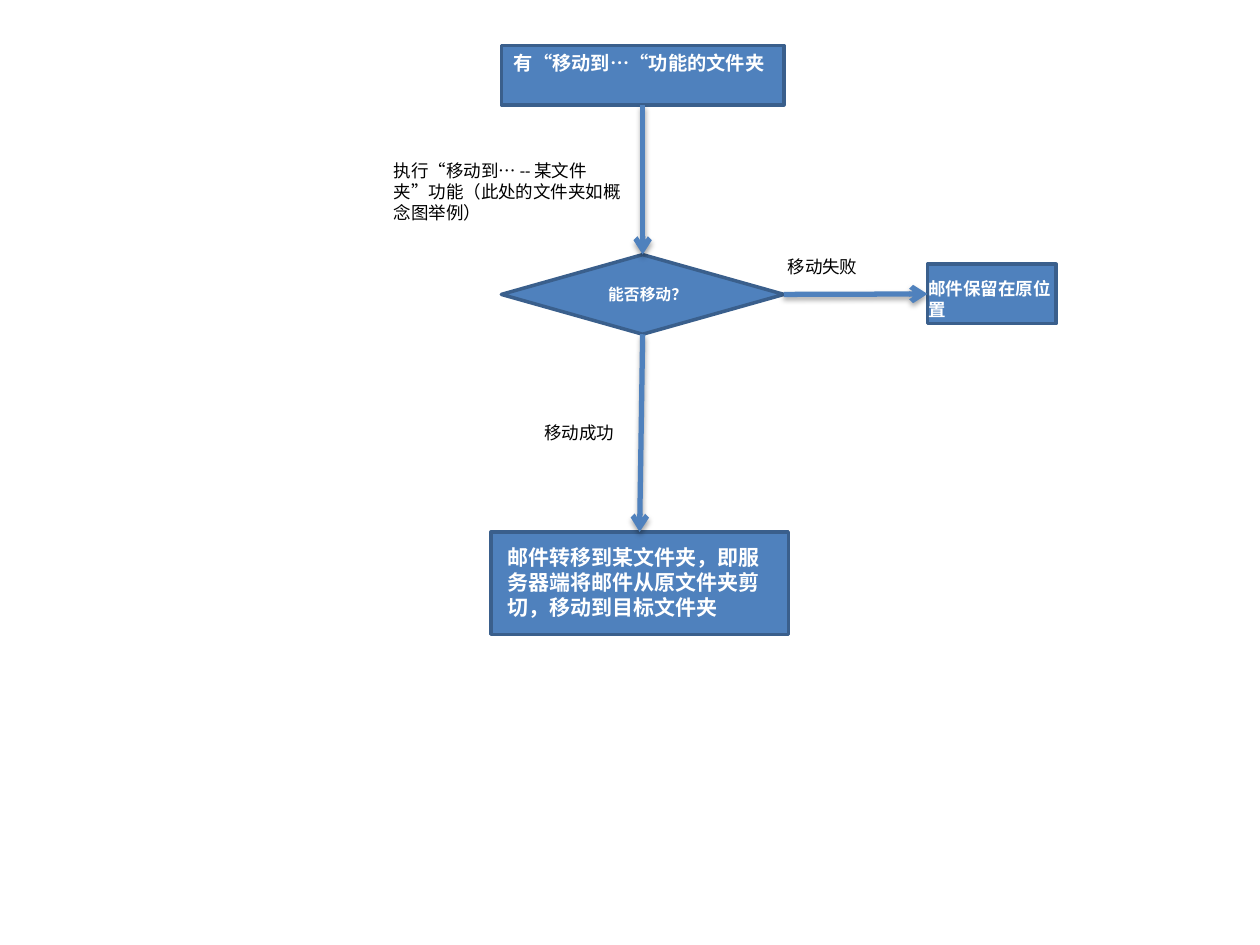
"""Build a flowchart of moving a mail to another folder."""
from lxml.etree import SubElement
from pptx import Presentation
from pptx.dml.color import RGBColor
from pptx.enum.shapes import MSO_CONNECTOR, MSO_SHAPE
from pptx.enum.text import MSO_AUTO_SIZE
from pptx.oxml.ns import qn
from pptx.util import Pt

FILL, OUTLINE, WHITE, BLACK = "4F81BD", "3A5F8C", "FFFFFF", "000000"
TOP, LEFT, BOTTOM, RIGHT = range(4)

NODES = {
    "start": (MSO_SHAPE.RECTANGLE, 286.5, 26, 161.5, 34),
    "decision": (MSO_SHAPE.DIAMOND, 286.5, 145.5, 161.5, 45.5),
    "failure": (MSO_SHAPE.RECTANGLE, 530, 151, 73.5, 34),
    "success": (MSO_SHAPE.RECTANGLE, 280.5, 304, 170, 58.5),
}
ARROWS = [
    ("start", BOTTOM, "decision", TOP),
    ("decision", BOTTOM, "success", TOP),
    ("decision", RIGHT, "failure", LEFT),
]
NODE_TEXTS = [
    ("有“移动到…“功能的文件夹", 11, 286.5, 26, 161.5, 21),
    ("能否移动？", 9, 340.5, 159, 102, 18),
    ("邮件转移到某文件夹，即服务器端将邮件从原文件夹剪切，移动到目标文件夹", 12, 283, 307.5, 164, 51),
    ("邮件保留在原位置", 10, 523.5, 155.5, 90.5, 31.5),
]
LABELS = [
    ("执行“移动到… -- 某文件夹”功能（此处的文件夹如概念图举例）", 10, 218, 88, 150, 44),
    ("移动成功", 10, 304, 237.5, 57.5, 19.5),
    ("移动失败", 10, 443, 142.5, 122.5, 19.5),
]


def color(value):
    """Turn a hex string into a colour."""
    return RGBColor.from_string(value)


def add_node(slide, kind, *box):
    """Add one filled flowchart shape."""
    shape = slide.shapes.add_shape(kind, *map(Pt, box))
    shape.shadow.inherit = False
    shape.fill.solid()
    shape.fill.fore_color.rgb = color(FILL)
    shape.line.color.rgb = color(OUTLINE)
    shape.line.width = Pt(2)
    return shape


def add_arrow(slide, source, source_site, target, target_site):
    """Join two shapes with an arrow that casts a soft shadow."""
    arrow = slide.shapes.add_connector(MSO_CONNECTOR.STRAIGHT, 0, 0, 0, 0)
    arrow.begin_connect(source, source_site)
    arrow.end_connect(target, target_site)
    arrow.line.color.rgb = color(FILL)
    arrow.line.width = Pt(3)
    properties = arrow.element.spPr
    SubElement(properties.find(qn("a:ln")), qn("a:tailEnd"), type="arrow")
    effects = SubElement(properties, qn("a:effectLst"))
    shadow = SubElement(effects, qn("a:outerShdw"), blurRad=str(Pt(3.1)),
                        dist=str(Pt(1.8)), dir="5400000", rotWithShape="0")
    shade = SubElement(shadow, qn("a:srgbClr"), val=BLACK)
    SubElement(shade, qn("a:alpha"), val="35000")


def add_text(slide, text, size, *box, ink, bold):
    """Add one wrapped text box."""
    frame = slide.shapes.add_textbox(*map(Pt, box)).text_frame
    frame.word_wrap = True
    frame.auto_size = MSO_AUTO_SIZE.SHAPE_TO_FIT_TEXT
    paragraph = frame.paragraphs[0]
    paragraph.text = text
    paragraph.font.name = "Calibri"
    paragraph.font.size = Pt(size)
    paragraph.font.bold = bold
    paragraph.font.color.rgb = color(ink)


presentation = Presentation()
presentation.slide_width, presentation.slide_height = Pt(720), Pt(540)
slide = presentation.slides.add_slide(presentation.slide_layouts[6])

nodes = {name: add_node(slide, *node) for name, node in NODES.items()}
for source, source_site, target, target_site in ARROWS:
    add_arrow(slide, nodes[source], source_site, nodes[target], target_site)
for entry in NODE_TEXTS:
    add_text(slide, *entry, ink=WHITE, bold=True)
for entry in LABELS:
    add_text(slide, *entry, ink=BLACK, bold=False)

presentation.save("out.pptx")
